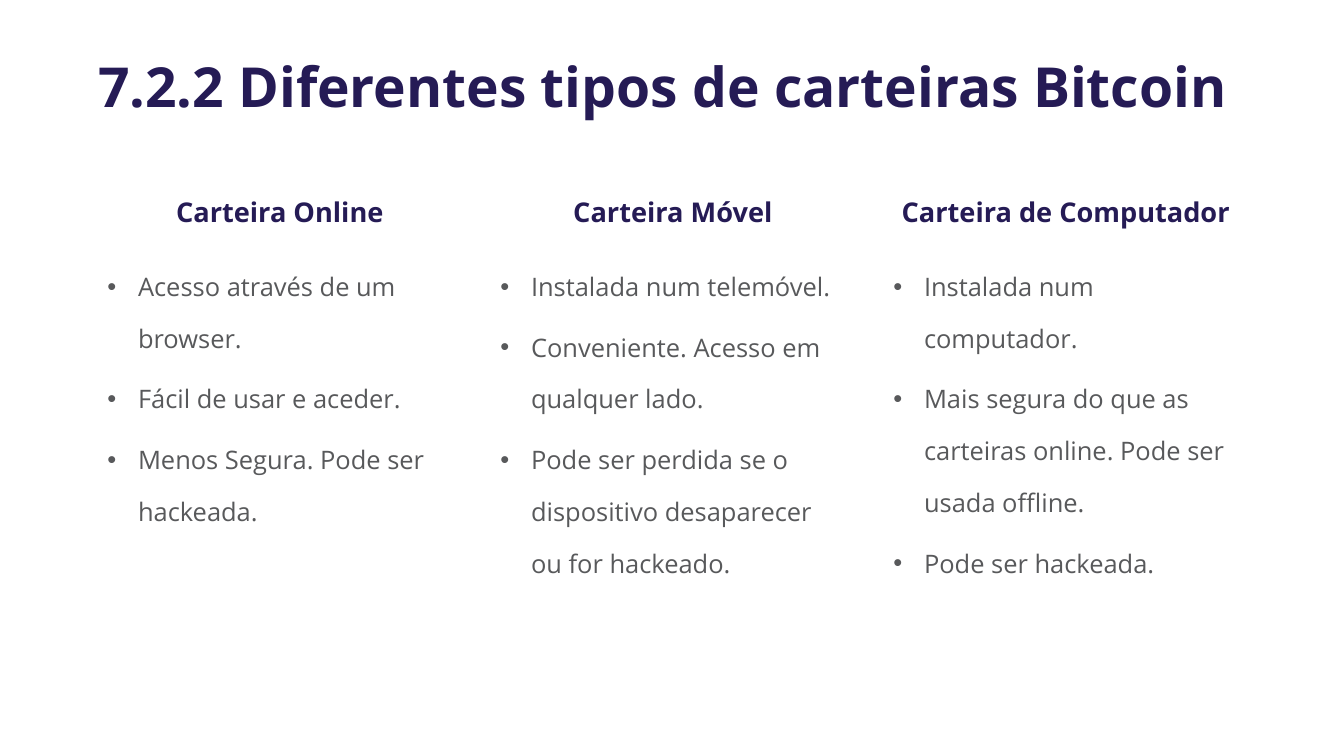
import lxml.etree
import pptx
import pptx.dml.color
import pptx.enum.shapes
import pptx.enum.text
import pptx.oxml.ns
import pptx.util

PX = 9144
FONT = "Open Sans"
COLORS = {"navy": "251B55", "grey": "58595B", "white": "FFFFFF"}
CARD_LEFT, CARD_TOP, CARD_WIDTH, CARD_HEIGHT, CARD_PITCH = 151, 245, 610, 926, 643
BULLET_INDENT = 50

WALLETS = {
    "Carteira Online": [
        "Acesso através de um browser.",
        "Fácil de usar e aceder.",
        "Menos Segura. Pode ser hackeada.",
    ],
    "Carteira Móvel": [
        "Instalada num telemóvel.",
        "Conveniente. Acesso em qualquer lado.",
        "Pode ser perdida se o dispositivo desaparecer ou for hackeado.",
    ],
    "Carteira de Computador": [
        "Instalada num computador.",
        "Mais segura do que as carteiras online. Pode ser usada offline.",
        "Pode ser hackeada.",
    ],
}


def px(*lengths):
    """Turn pixel lengths into EMU."""
    return [pptx.util.Emu(length * PX) for length in lengths]


def rgb(name):
    """Look up a named colour."""
    return pptx.dml.color.RGBColor.from_string(COLORS[name])


def write(para, text, size, color, bold, spacing):
    """Fill a paragraph with text in one style."""
    para.text = text
    para.line_spacing = spacing
    para.font.name = FONT
    para.font.size = pptx.util.Pt(size)
    para.font.bold = bold
    para.font.color.rgb = rgb(color)


def add_bullet(para):
    """Give a paragraph a hanging round bullet."""
    properties = para._p.get_or_add_pPr()
    indent = BULLET_INDENT * PX
    properties.set("marL", str(indent))
    properties.set("indent", str(-indent))
    for tag, key, value in (("a:buFont", "typeface", "Arial"), ("a:buChar", "char", "•")):
        lxml.etree.SubElement(properties, pptx.oxml.ns.qn(tag)).set(key, value)


def add_title(page, text):
    """Add the slide title."""
    frame = page.shapes.add_textbox(*px(151, 66, 1896, 161)).text_frame
    frame.word_wrap = True
    frame.vertical_anchor = pptx.enum.text.MSO_ANCHOR.MIDDLE
    write(frame.paragraphs[0], text, 65, "navy", True, 0.9)


def add_card(page, left, heading, points):
    """Add a rounded card with a heading and bullet points."""
    card = page.shapes.add_shape(
        pptx.enum.shapes.MSO_SHAPE.ROUNDED_RECTANGLE,
        *px(left, CARD_TOP, CARD_WIDTH, CARD_HEIGHT),
    )
    card.adjustments[0] = 0.05
    card.shadow.inherit = False
    card.fill.solid()
    card.fill.fore_color.rgb = rgb("white")
    card.line.fill.background()

    frame = card.text_frame
    frame.word_wrap = True
    frame.vertical_anchor = pptx.enum.text.MSO_ANCHOR.TOP
    frame.margin_left, frame.margin_right = px(16, 12)
    frame.margin_top, frame.margin_bottom = px(28, 28)

    title = frame.paragraphs[0]
    write(title, heading, 32, "navy", True, 1.7)
    title.alignment = pptx.enum.text.PP_ALIGN.CENTER
    title.space_after = pptx.util.Pt(16)
    for point in points:
        para = frame.add_paragraph()
        add_bullet(para)
        write(para, point, 30, "grey", False, 1.7)
        para.alignment = pptx.enum.text.PP_ALIGN.LEFT
        para.space_before = pptx.util.Pt(10)


def main():
    """Build the wallet comparison slide."""
    deck = pptx.Presentation()
    deck.slide_width, deck.slide_height = px(2199, 1237)
    page = deck.slides.add_slide(deck.slide_layouts[6])
    add_title(page, "7.2.2 Diferentes tipos de carteiras Bitcoin")
    for column, (heading, points) in enumerate(WALLETS.items()):
        add_card(page, CARD_LEFT + column * CARD_PITCH, heading, points)
    deck.save("out.pptx")


if __name__ == "__main__":
    main()
